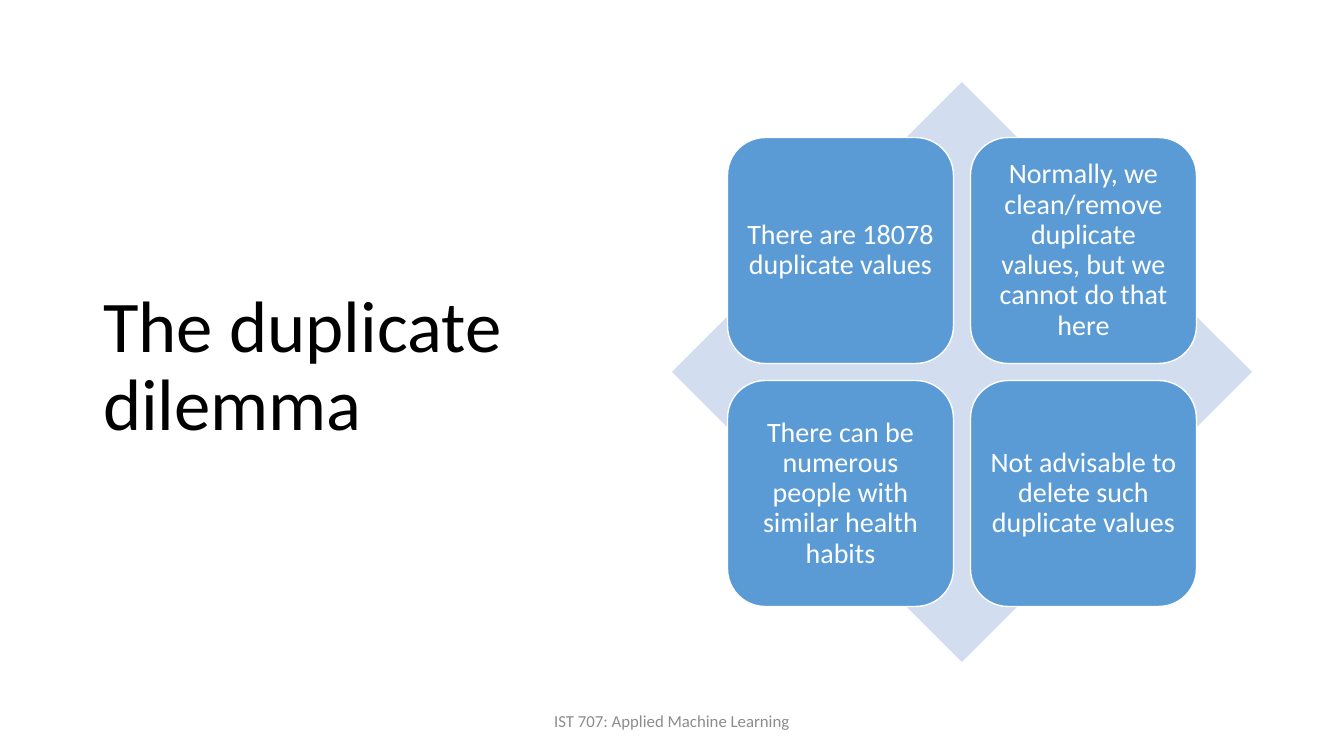
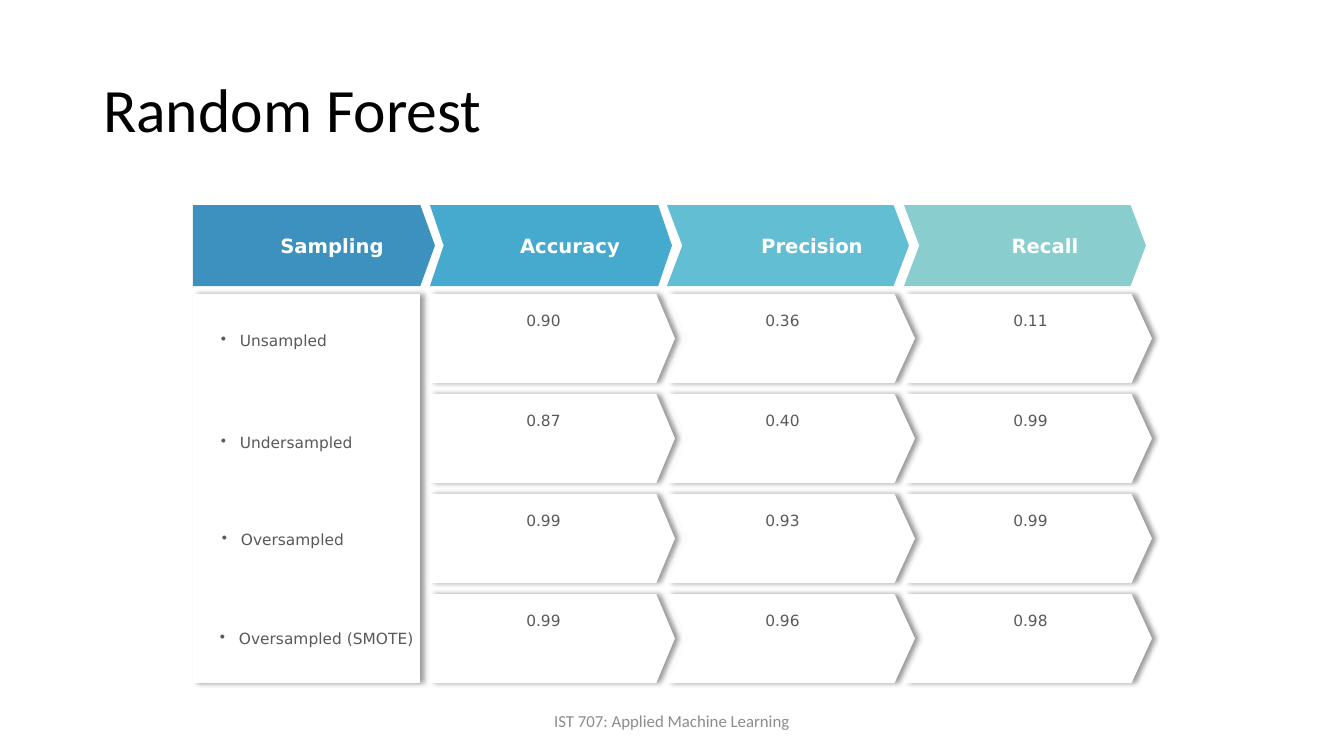
from lxml.etree import SubElement
from pptx import Presentation
from pptx.dml.color import RGBColor
from pptx.enum.shapes import MSO_SHAPE
from pptx.enum.text import MSO_ANCHOR, MSO_AUTO_SIZE, PP_ALIGN
from pptx.oxml.ns import qn
from pptx.util import Emu, Pt

# Shared style
WHITE = RGBColor(0xFF, 0xFF, 0xFF)
BLACK = RGBColor(0x00, 0x00, 0x00)
FOOTER_GRAY = RGBColor(0x8C, 0x8C, 0x8C)
TEXT_GRAY = RGBColor(0x59, 0x59, 0x59)
PALE_BLUE = RGBColor(0xD2, 0xDE, 0xEF)
TILE_BLUE = RGBColor(0x5B, 0x9B, 0xD5)
SANS, TABLE_FONT = "Calibri", "DejaVu Sans"
EMU_PER_PX = 914400 / 100.8
SLIDE_W, SLIDE_H = 1344, 756
FOOTER = "IST 707: Applied Machine Learning"

# Slide 1 content, in reading order of the 2 x 2 grid
TILES = [
    "There are 18078 duplicate values",
    "Normally, we clean/remove duplicate values, but we cannot do that here",
    "There can be numerous people with similar health habits",
    "Not advisable to delete such duplicate values",
]

# Slide 2 content: header, fill, outline, point depth, label centre
HEADERS = [
    ("Sampling", RGBColor(0x3D, 0x91, 0xBE), MSO_SHAPE.PENTAGON, 0.18, 332),
    ("Accuracy", RGBColor(0x46, 0xAA, 0xCE), MSO_SHAPE.CHEVRON, 0.17, 570),
    ("Precision", RGBColor(0x62, 0xBE, 0xD2), MSO_SHAPE.CHEVRON, 0.19, 812),
    ("Recall", RGBColor(0x8A, 0xCD, 0xCE), MSO_SHAPE.CHEVRON, 0.19, 1045),
]
# Value cells: outline, point depth, width, text left
VALUE_CELLS = [
    (MSO_SHAPE.PENTAGON, 0.21, 245, 446),
    (MSO_SHAPE.CHEVRON, 0.23, 248, 685),
    (MSO_SHAPE.CHEVRON, 0.23, 248, 933),
]
# Row label, label left and top, scores
ROWS = [
    ("Unsampled", 211, 317, ("0.90", "0.36", "0.11")),
    ("Undersampled", 211, 419, ("0.87", "0.40", "0.99")),
    ("Oversampled", 212, 516, ("0.99", "0.93", "0.99")),
    ("Oversampled (SMOTE)", 210, 615, ("0.99", "0.96", "0.98")),
]


def px(n):
    return Emu(round(n * EMU_PER_PX))


def write(tf, text, size, color, font=SANS, align=PP_ALIGN.CENTER, bold=False):
    p = tf.paragraphs[0]
    p.alignment = align
    r = p.add_run()
    r.text = text
    r.font.size, r.font.name, r.font.bold = Pt(size), font, bold
    r.font.color.rgb = color
    return p


def add_text(s, box, text, size, color, font=SANS, wrap=True, **style):
    tf = s.shapes.add_textbox(*map(px, box)).text_frame
    tf.word_wrap = wrap
    return tf, write(tf, text, size, color, font, **style)


def add_block(s, kind, box, fill, depth=None, line=None, shadow=False):
    sp = s.shapes.add_shape(kind, *map(px, box))
    sp.shadow.inherit = False
    sp.fill.solid()
    sp.fill.fore_color.rgb = fill
    if line is None:
        sp.line.fill.background()
    else:
        sp.line.color.rgb = line
        sp.line.width = Pt(1)
    if depth is not None:
        sp.adjustments[0] = depth
    if shadow:
        effects = sp.element.spPr.find(qn("a:effectLst"))
        outer = SubElement(effects, qn("a:outerShdw"), blurRad=str(Pt(4)),
                           dist=str(Pt(3)), dir="0", algn="l", rotWithShape="0")
        color = SubElement(outer, qn("a:srgbClr"), val=str(BLACK))
        SubElement(color, qn("a:alpha"), val="40000")
    return sp


def add_bullet(p, indent):
    pPr = p._p.get_or_add_pPr()
    pPr.set("marL", str(px(indent)))
    pPr.set("indent", str(-px(indent)))
    SubElement(pPr, qn("a:buChar"), char="•")


def new_slide(prs, title, box, size):
    """Slide with the shared title style and footer."""
    s = prs.slides.add_slide(prs.slide_layouts[5])
    sp = s.shapes.title
    sp.left, sp.top, sp.width, sp.height = map(px, box)
    tf = sp.text_frame
    tf.auto_size = MSO_AUTO_SIZE.NONE
    tf.vertical_anchor = MSO_ANCHOR.MIDDLE
    write(tf, title, size, BLACK, align=PP_ALIGN.LEFT).line_spacing = 0.9
    tf, _ = add_text(s, (445, 701, 454, 40), FOOTER, 12, FOOTER_GRAY)
    tf.vertical_anchor = MSO_ANCHOR.MIDDLE
    return s


def dilemma_slide(prs):
    s = new_slide(prs, "The duplicate dilemma", (93, 61, 536, 614), 52)
    center_x, center_y, diamond, tile, gap = 962, 372, 580, 226, 17
    add_block(s, MSO_SHAPE.DIAMOND,
              (center_x - diamond / 2, center_y - diamond / 2, diamond, diamond),
              PALE_BLUE)
    left, top = (c - tile - gap / 2 for c in (center_x, center_y))
    for i, text in enumerate(TILES):
        row, col = divmod(i, 2)
        sp = add_block(s, MSO_SHAPE.ROUNDED_RECTANGLE,
                       (left + col * (tile + gap), top + row * (tile + gap), tile, tile),
                       TILE_BLUE, line=WHITE)
        tf = sp.text_frame
        tf.word_wrap = True
        tf.vertical_anchor = MSO_ANCHOR.MIDDLE
        tf.margin_left = tf.margin_right = tf.margin_top = tf.margin_bottom = px(7)
        write(tf, text, 20, WHITE).line_spacing = 0.9


def forest_slide(prs):
    s = new_slide(prs, "Random Forest", (93, 40, 1159, 146), 44)
    left, col_step = 193, 237
    first_row, row_step, cell_h = 294, 100, 89

    # Header arrows
    for i, (text, fill, kind, depth, center) in enumerate(HEADERS):
        add_block(s, kind, (left + i * col_step, 205, 242, 81), fill, depth)
        add_text(s, (center - 62, 229, 124, 34), text, 14, WHITE, TABLE_FONT,
                 wrap=False, bold=True)

    # Panel behind the row labels
    panel_h = (len(ROWS) - 1) * row_step + cell_h
    add_block(s, MSO_SHAPE.RECTANGLE, (left, first_row, 227, panel_h), WHITE, shadow=True)

    # Labels and score cells
    for i, (label, label_x, label_y, scores) in enumerate(ROWS):
        top = first_row + i * row_step
        for j, (score, cell) in enumerate(zip(scores, VALUE_CELLS), 1):
            kind, depth, width, text_x = cell
            add_block(s, kind, (left + j * col_step, top, width, cell_h), WHITE,
                      depth, shadow=True)
            add_text(s, (text_x, top + 12, 195, 29), score, 11, TEXT_GRAY, TABLE_FONT)
        _, p = add_text(s, (label_x, label_y, 220, 34), label, 11, TEXT_GRAY,
                        TABLE_FONT, align=PP_ALIGN.LEFT)
        add_bullet(p, 19)
        p.line_spacing = 1.5


def main():
    prs = Presentation()
    prs.slide_width, prs.slide_height = px(SLIDE_W), px(SLIDE_H)
    dilemma_slide(prs)
    forest_slide(prs)
    prs.save("out.pptx")


if __name__ == "__main__":
    main()
